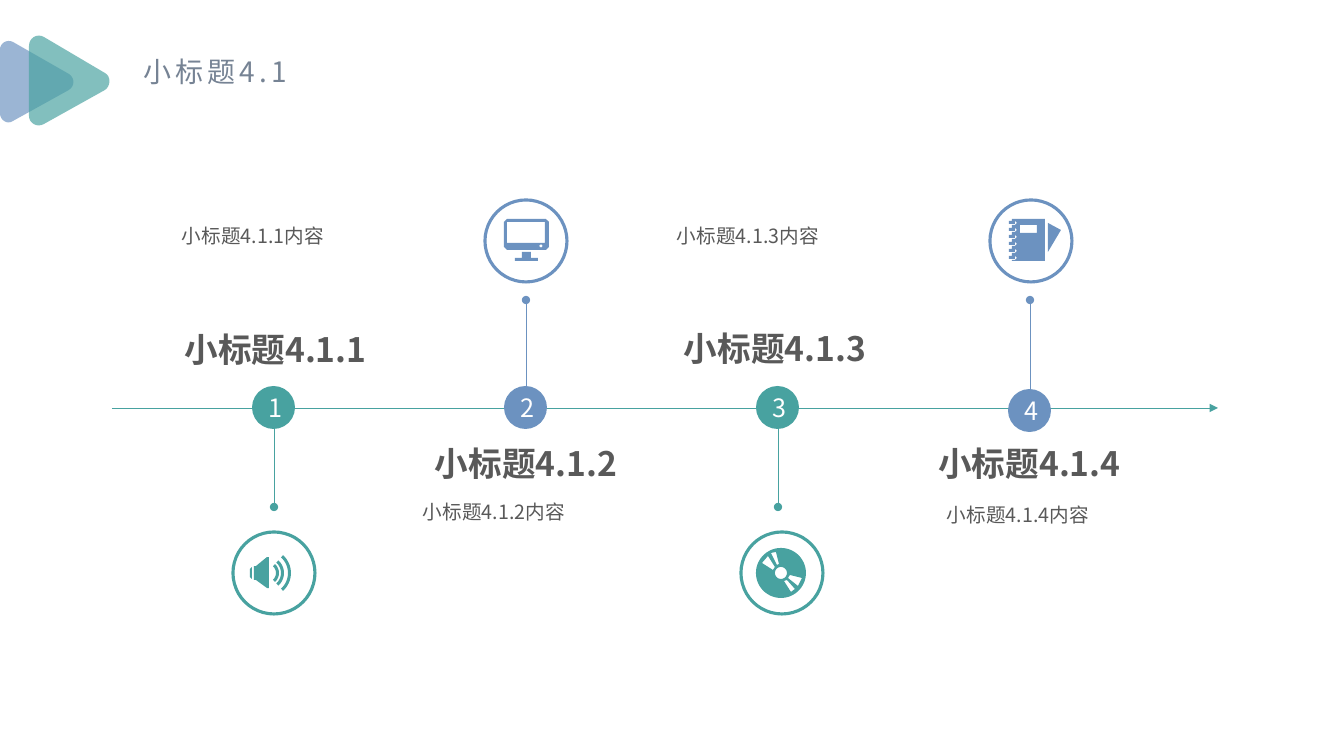
from math import cos, radians, sin

from lxml import etree
from pptx import Presentation
from pptx.dml.color import RGBColor
from pptx.enum import shapes, text
from pptx.oxml.ns import qn
from pptx.util import Pt

PX = 9071  # EMU per px, 100.8 px to the inch
FONT = "Noto Sans CJK SC"
TEAL, BLUE, GREY = "48A2A0", "6C92C0", "595959"
LEFT, CENTER = text.PP_ALIGN.LEFT, text.PP_ALIGN.CENTER
rgb = RGBColor.from_string


def write(sp, content, size, color, align=LEFT, bold=False):
    """Put one formatted paragraph into the shape and return it."""
    p = sp.text_frame.paragraphs[0]
    p.text = content
    p.alignment = align
    p.font.size = Pt(size)
    p.font.bold = bold
    p.font.color.rgb = rgb(color)
    p.font.name = FONT
    etree.SubElement(p.font._element, qn("a:ea"), typeface=FONT)
    return p


def outline(color, *paths):
    """Fill closed px polygons as one shape; inner polygons become holes."""
    builder = None
    for path in paths:
        points = [(x * PX, y * PX) for x, y in path]
        if builder is None:
            builder = s.shapes.build_freeform(*points[0], scale=1)
        else:
            builder.move_to(*points[0])
        builder.add_line_segments(points[1:], close=True)
    sp = builder.convert_to_shape()
    sp.shadow.inherit = False
    sp.fill.solid()
    sp.fill.fore_color.rgb = rgb(color)
    sp.line.fill.background()
    return sp


prs = Presentation()
prs.slide_width, prs.slide_height = 1344 * PX, 756 * PX
s = prs.slides.add_slide(prs.slide_layouts[5])

# Title
title = s.shapes.title
title.left, title.top, title.width, title.height = [v * PX for v in (133, 49, 171, 44)]
tf = title.text_frame
tf.word_wrap = False
tf.auto_size = text.MSO_AUTO_SIZE.SHAPE_TO_FIT_TEXT
tf.vertical_anchor = text.MSO_ANCHOR.TOP
p = write(title, "小标题4.1", 20, "768394")
p.font._element.set("spc", "300")

# Translucent triangles: each corner is a cubic curve, joined by straight sides
triangles = [
    (BLUE, [[(13, 42), (7, 39), (0, 43), (0, 50)],
            [(0, 113), (0, 120), (7, 125), (13, 121)],
            [(69, 90), (75, 86), (75, 78), (69, 74)]]),
    (TEAL, [[(44, 37), (37, 33), (29, 38), (29, 46)],
            [(29, 116), (29, 123), (37, 128), (44, 124)],
            [(105, 90), (111, 86), (111, 76), (105, 73)]]),
]
for color, corners in triangles:
    points = []
    for corner in corners:
        for t in [step / 8 for step in range(9)]:
            weights = ((1 - t) ** 3, 3 * t * (1 - t) ** 2, 3 * t * t * (1 - t), t ** 3)
            points.append([sum(w * c for w, c in zip(weights, axis))
                           for axis in zip(*corner)])
    sp = outline(color, points)
    fill_color = sp._element.spPr.find(".//" + qn("a:srgbClr"))
    etree.SubElement(fill_color, qn("a:alpha"), val="68000")

# Stems, then the time axis
stage_xs = [274 + 252 * i for i in range(4)]
lines = []
for i, x in enumerate(stage_xs):
    top, bottom = ((407, 507), (300, 399))[i % 2]
    lines.append(((x, top, x, bottom), (TEAL, BLUE)[i % 2], "oval", "oval"))
lines.append(((112, 408, 1218, 408), TEAL, "none", "triangle"))
for ends, color, head, tail in lines:
    line = s.shapes.add_connector(shapes.MSO_CONNECTOR.STRAIGHT, *[v * PX for v in ends])
    line.line.color.rgb = rgb(color)
    line.line.width = Pt(0.5)
    ln = line.line._get_or_add_ln()
    etree.SubElement(ln, qn("a:headEnd"), type=head)
    etree.SubElement(ln, qn("a:tailEnd"), type=tail)
    etree.SubElement(line._element.spPr, qn("a:effectLst"))

# Stages: node top, ring left and top, heading left, top and width, content left and top
stages = [
    (386, (233, 532), (163, 327, 225), (172, 219)),
    (386, (485, 200), (418, 441, 216), (413, 495)),
    (386, (741, 532), (654, 326, 242), (667, 219)),
    (389, (990, 200), (894, 441, 271), (937, 498)),
]
for i, (node_top, ring_at, heading_at, content_at) in enumerate(stages):
    color = (TEAL, BLUE)[i % 2]
    node_box = (stage_xs[i] - 22, node_top, 43, 43)
    node, ring = [s.shapes.add_shape(shapes.MSO_SHAPE.OVAL, *[v * PX for v in box])
                  for box in (node_box, (*ring_at, 82, 82))]
    node.shadow.inherit = ring.shadow.inherit = False
    node.fill.solid()
    node.fill.fore_color.rgb = rgb(color)
    node.line.fill.background()
    node.text_frame.vertical_anchor = text.MSO_ANCHOR.MIDDLE
    write(node, str(i + 1), 18, "FFFFFF", CENTER)
    ring.fill.background()
    ring.line.color.rgb = rgb(color)
    ring.line.width = Pt(2.25)

    heading, content = [s.shapes.add_textbox(*[v * PX for v in box])
                        for box in ((*heading_at, 48), (*content_at, 227, 34))]
    for sp in (heading, content):
        sp.text_frame.word_wrap = True
        sp.text_frame.auto_size = text.MSO_AUTO_SIZE.SHAPE_TO_FIT_TEXT
    p = write(heading, f"小标题4.1.{i + 1}", 24, GREY, CENTER, True)
    p.line_spacing = 0.94
    write(content, f"小标题4.1.{i + 1}内容", 14, GREY)

# Icons
circle = [(cos(radians(a)), sin(radians(a))) for a in range(0, 360, 6)]
arc = [(cos(radians(a)), sin(radians(a))) for a in range(-48, 49, 6)]

cone = [(267, 557), (256, 566), (254, 566), (254, 580), (256, 580),
        (267, 588), (269, 588), (269, 557)]
cap = [(252, 567), (250, 569), (250, 577), (252, 579)]
waves = [[(267 + r * x, 573 + r * y) for x, y in arc]
         + [(267 + (r - 3) * x, 573 + (r - 3) * y) for x, y in reversed(arc)]
         for r in (12, 17, 24)]
outline(TEAL, cone, cap, *waves)

monitor = [(507, 219), (546, 219), (549, 222), (549, 247), (546, 250),
           (507, 250), (504, 247), (504, 222)]
screen = [(507, 222), (545, 222), (545, 243), (507, 243)]
light = [(541 + 1.5 * x, 246 + 1.5 * y) for x, y in circle]
stand = [(515, 258), (522, 258), (522, 252), (531, 252), (531, 258),
         (538, 258), (538, 261), (515, 261)]
outline(BLUE, monitor, screen, light, stand)

disc, hub = [[(781 + r * x, 573 + r * y) for x, y in circle] for r in (25, 6)]
slots = [
    [(777, 565), (779, 564), (776, 552), (771, 553)],
    [(787, 580), (784, 581), (791, 592), (795, 589)],
    [(802, 578), (790, 575), (788, 578), (798, 586)],
    [(762, 563), (773, 570), (775, 567), (768, 556)],
]
outline(TEAL, disc, hub, *slots)

notebook = [(1045, 261), (1045, 219), (1012, 219)]
for y in range(221, 257, 7):
    notebook += [(1012, y), (1009, y), (1009, y + 3), (1015, y + 3),
                 (1015, y), (1017, y + 2), (1015, y + 4), (1012, y + 4)]
notebook.append((1012, 261))
label = [(1020, 225), (1037, 225), (1037, 233), (1020, 233)]
pen = [(1048, 223), (1061, 230), (1048, 252)]
outline(BLUE, notebook, label, pen)

prs.save("out.pptx")
